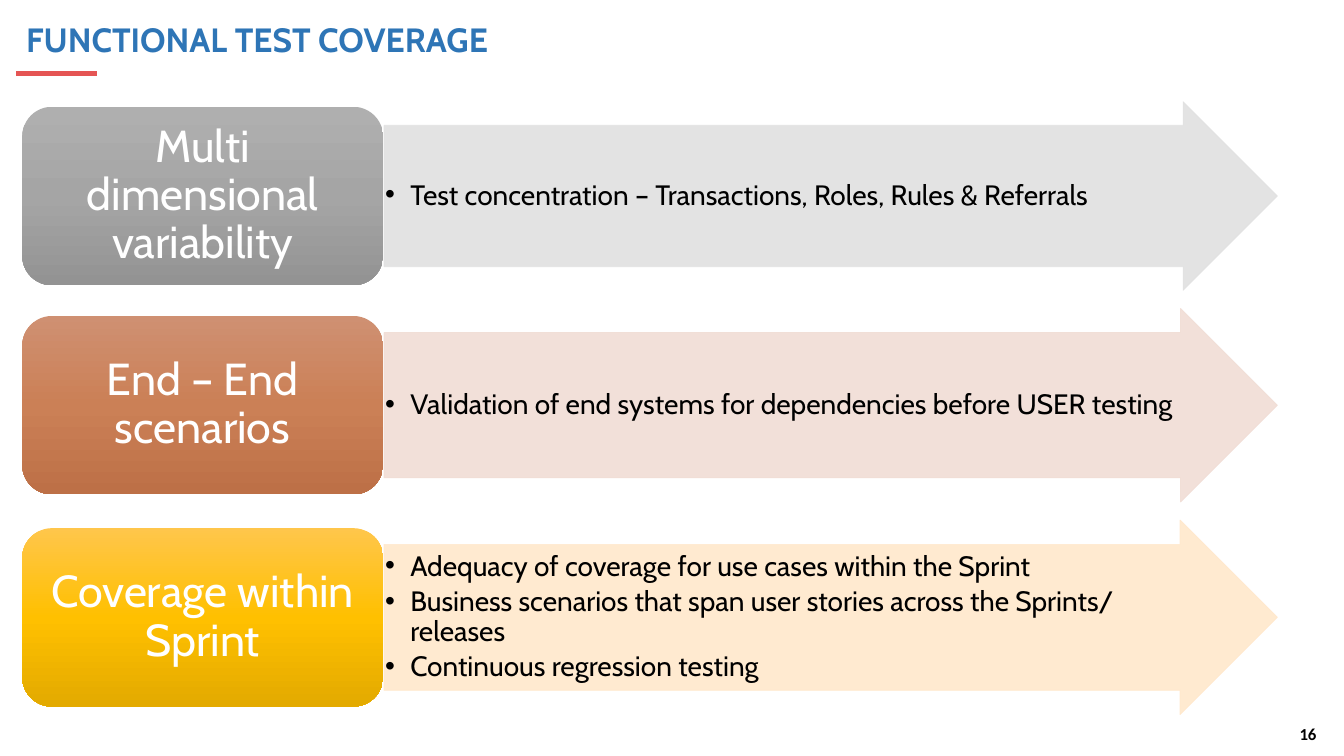
from pptx import Presentation
from pptx.dml.color import RGBColor
from pptx.enum.shapes import MSO_CONNECTOR as Conn, MSO_SHAPE as Shape
from pptx.enum.text import MSO_ANCHOR as Anchor, PP_ALIGN as Align
from pptx.oxml import parse_xml
from pptx.oxml.ns import nsdecls
from pptx.util import Inches, Pt
from lxml import etree

NS = "{http://schemas.openxmlformats.org/drawingml/2006/main}"

# arrow top, arrow height, label, arrow colour, label gradient, bullets
ROWS = [
    (1.01, 1.87, "Multi dimensional variability", "E1E1E1",
     ("AFAFAF", "A5A5A5", "939393"),
     ["Test concentration – Transactions, Roles, Rules & Referrals"]),
    (3.06, 1.92, "End – End scenarios", "F1DDD5",
     ("CF9072", "CB8056", "BD7047"),
     ["Validation of end systems for dependencies before USER testing"]),
    (5.16, 1.93, "Coverage within Sprint", "FFE8CB",
     ("FFC64B", "FFC000", "E3AA00"),
     ["Adequacy of coverage for use cases within the Sprint",
      "Business scenarios that span user stories across the Sprints/ releases",
      "Continuous regression testing"]),
]


def color(code):
    return RGBColor.from_string(code)


def style(par, size, code, bold=False, face="Cabin"):
    font = par.font
    font.size, font.bold, font.name = Pt(size), bold, face
    font.color.rgb = color(code)


def frame(shape, side, edge):
    text = shape.text_frame
    text.word_wrap = True
    text.vertical_anchor = Anchor.MIDDLE
    text.margin_left = text.margin_right = Inches(side)
    text.margin_top = text.margin_bottom = Inches(edge)
    return text


def bullet(par):
    props = par._p.get_or_add_pPr()
    props.set("marL", str(Inches(0.25)))
    props.set("indent", str(-Inches(0.25)))
    etree.SubElement(props, NS + "buFont").set("typeface", "Arial")
    etree.SubElement(props, NS + "buChar").set("char", "•")


def fade(shape, codes):
    stops = "".join(f'<a:gs pos="{i * 50000}"><a:srgbClr val="{code}"/></a:gs>'
                    for i, code in enumerate(codes))
    grad = parse_xml(f'<a:gradFill {nsdecls("a")} rotWithShape="1"><a:gsLst>{stops}'
                     '</a:gsLst><a:lin ang="5400000" scaled="0"/></a:gradFill>')
    shape._element.spPr.insert(2, grad)


def add_arrow(slide, left, top, width, height, code, lines):
    arrow = slide.shapes.add_shape(Shape.RIGHT_ARROW, Inches(left), Inches(top),
                                   Inches(width), Inches(height))
    arrow.shadow.inherit = False
    arrow.adjustments[0], arrow.adjustments[1] = 0.75, 0.5
    arrow.fill.solid()
    arrow.fill.fore_color.rgb = arrow.line.color.rgb = color(code)
    arrow.line.width = Pt(0.5)
    # 90 % opaque fill and outline
    for tint in arrow._element.spPr.iter(NS + "srgbClr"):
        etree.SubElement(tint, NS + "alpha").set("val", "90000")
    text = frame(arrow, 0.01, 0.01)
    text.text = "\n".join(lines)
    for par in text.paragraphs:
        bullet(par)
        par.alignment = Align.LEFT
        par.line_spacing = 0.9
        par.space_after = Pt(3.6)
        style(par, 20, "000000")


def add_label(slide, left, top, width, height, codes, words):
    label = slide.shapes.add_shape(Shape.ROUNDED_RECTANGLE, Inches(left), Inches(top),
                                   Inches(width), Inches(height))
    label.shadow.inherit = False
    fade(label, codes)
    label.line.fill.background()
    text = frame(label, 0.13, 0.07)
    text.text = words
    par = text.paragraphs[0]
    par.alignment = Align.CENTER
    par.line_spacing = 0.9
    style(par, 32, "FFFFFF")


def add_row(slide, left, top, height, words, tint, codes, lines):
    wide, tall = 3.58, 1.77
    add_arrow(slide, left + wide + 0.01, top, 8.86, height, tint, lines)
    add_label(slide, left, top + (height - tall) / 2, wide, tall, codes, words)


def add_title(slide, left, top, width, height, words):
    box = slide.shapes.add_textbox(Inches(left), Inches(top), Inches(width), Inches(height))
    text = frame(box, 0.1, 0.05)
    text.text = words
    text.paragraphs[0].line_spacing = 0.9
    style(text.paragraphs[0], 24, "2E75B6", True)
    # Red rule under the title
    base = Inches(top + height - 0.01)
    rule = slide.shapes.add_connector(Conn.STRAIGHT, Inches(left), base,
                                      Inches(left + 0.8), base)
    rule.line.color.rgb = color("E55554")
    rule.line.width = Pt(3)
    etree.SubElement(rule._element.spPr, NS + "effectLst")


def add_number(slide, left, top, width, height, words):
    box = slide.shapes.add_textbox(Inches(left), Inches(top), Inches(width), Inches(height))
    text = frame(box, 0.1, 0.05)
    text.text = words
    style(text.paragraphs[0], 12, "000000", True, "Calibri")


def main():
    deck = Presentation()
    deck.slide_width, deck.slide_height = Inches(13.33), Inches(7.5)
    slide = deck.slides.add_slide(deck.slide_layouts[6])
    add_title(slide, 0.16, 0.09, 10.81, 0.65, "FUNCTIONAL TEST COVERAGE")
    for row in ROWS:
        add_row(slide, 0.22, *row)
    add_number(slide, 12.79, 7.13, 0.45, 0.3, "16")
    deck.save("out.pptx")


if __name__ == "__main__":
    main()
